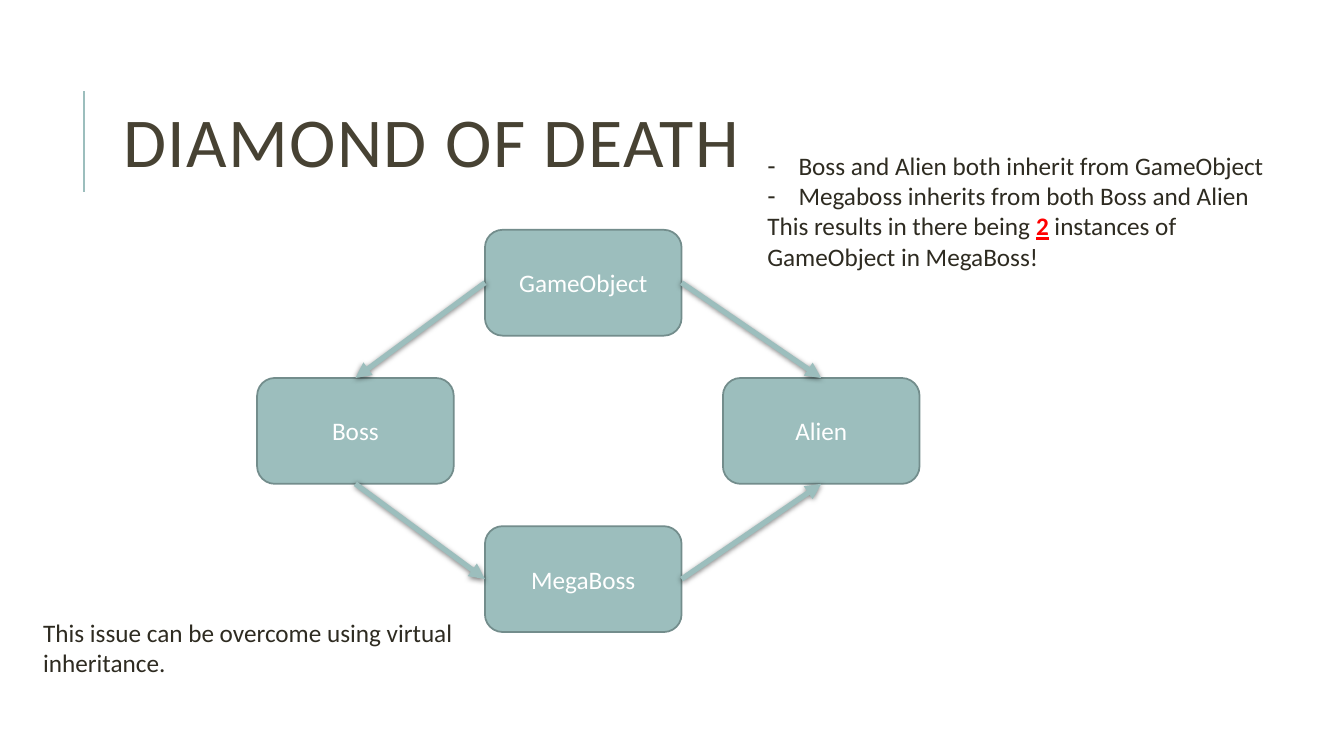
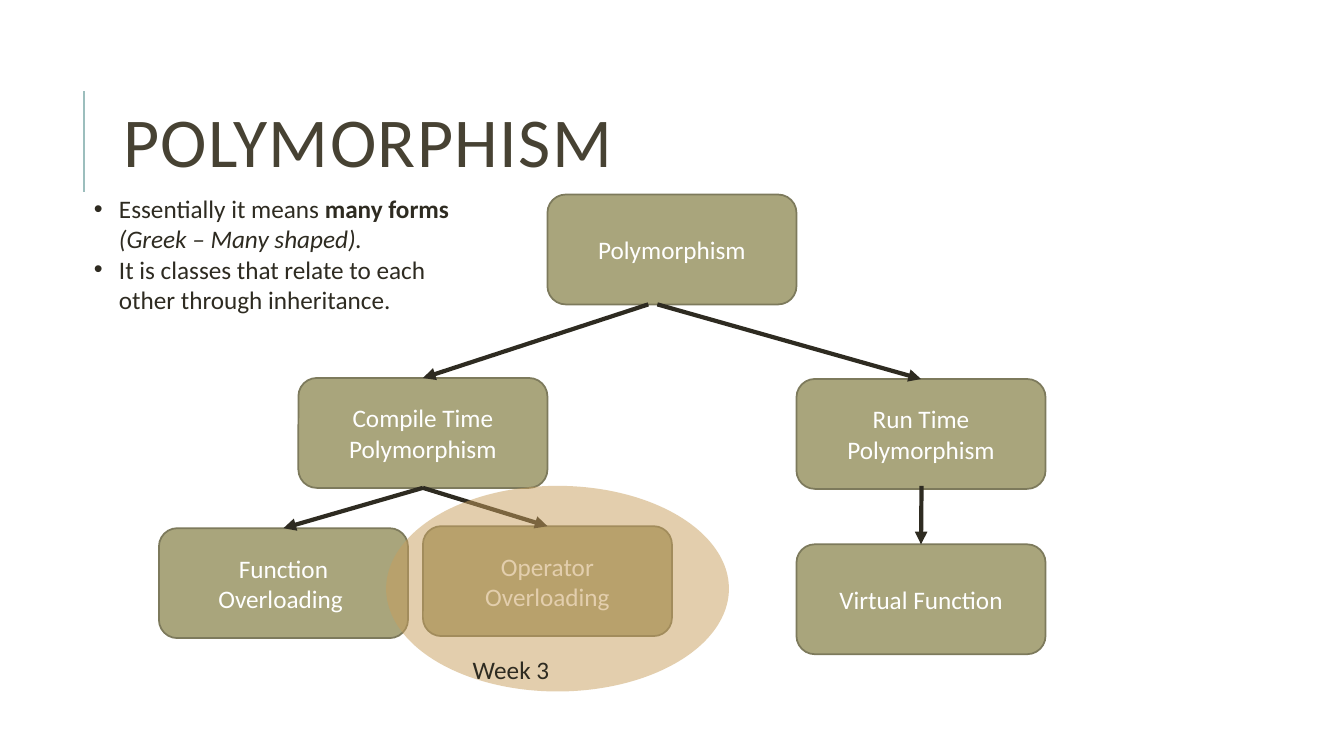
"""Build two slides on inheritance: the diamond problem and polymorphism."""
import lxml.etree
import pptx
import pptx.dml.color
import pptx.enum.shapes
import pptx.enum.text
import pptx.oxml.ns
import pptx.util

RGBColor = pptx.dml.color.RGBColor
Inches = pptx.util.Inches
Pt = pptx.util.Pt
SubElement = lxml.etree.SubElement
qn = pptx.oxml.ns.qn
SHAPE = pptx.enum.shapes.MSO_SHAPE
STRAIGHT = pptx.enum.shapes.MSO_CONNECTOR.STRAIGHT

TEAL = RGBColor(0x9C, 0xBE, 0xBD)
TEAL_EDGE = RGBColor(0x73, 0x8D, 0x8C)
OLIVE = RGBColor(0xA9, 0xA5, 0x7C)
OLIVE_EDGE = RGBColor(0x7D, 0x7A, 0x5C)
BROWN = RGBColor(0x47, 0x42, 0x33)
INK = RGBColor(0x2E, 0x2B, 0x21)
SAND = RGBColor(0xC8, 0x9F, 0x5D)
RED = RGBColor(0xFF, 0x00, 0x00)
WHITE = RGBColor(0xFF, 0xFF, 0xFF)
FONT = "Calibri"
TOP, LEFT, BOTTOM, RIGHT = range(4)


def add_box(s, text, x, y, w, h, fill, edge):
    """Add a rounded box with centred white text."""
    sp = s.shapes.add_shape(SHAPE.ROUNDED_RECTANGLE, Inches(x), Inches(y), Inches(w), Inches(h))
    sp.shadow.inherit = False
    sp.fill.solid()
    sp.fill.fore_color.rgb = fill
    sp.line.color.rgb = edge
    sp.line.width = Pt(1.25)
    sp.text_frame.text = text
    p = sp.text_frame.paragraphs[0]
    p.alignment = pptx.enum.text.PP_ALIGN.CENTER
    f = p.runs[0].font
    f.name, f.size, f.color.rgb = FONT, Pt(18), WHITE
    return sp


def add_line(s, color, width, start=(0, 0), end=(0, 0), begin_at=None, end_at=None, arrow=True):
    """Add a straight line between points or box sides; return it with its effect list."""
    cx = s.shapes.add_connector(STRAIGHT, *[Inches(v) for v in (*start, *end)])
    if begin_at:
        cx.begin_connect(*begin_at)
    if end_at:
        cx.end_connect(*end_at)
    cx.line.color.rgb = color
    cx.line.width = Pt(width)
    if arrow:
        SubElement(cx.line._get_or_add_ln(), qn("a:tailEnd"), type="triangle")
    return cx, SubElement(cx._element.spPr, qn("a:effectLst"))


prs = pptx.Presentation()
prs.slide_width, prs.slide_height = Inches(13.33), Inches(7.5)
layout = prs.slide_layouts[1]
title = layout.placeholders[0]
title.left, title.top, title.width, title.height = [Inches(v) for v in (1.12, 0.64, 10.63, 1.64)]

PLAIN, BOLD, ITALIC, ALERT = "plain", "bold", "italic", "alert"
pages = [
    ("DIAMOND OF DEATH", (7.51, 1.44, 5.52, 1.31), 0.31, [
        ("-", [("Boss and Alien both inherit from GameObject", PLAIN)]),
        ("-", [("Megaboss inherits from both Boss and Alien", PLAIN)]),
        (None, [("This results in there being ", PLAIN), ("2", ALERT),
                (" instances of GameObject in MegaBoss!", PLAIN)]),
    ]),
    ("POLYMORPHISM", (0.83, 1.87, 3.76, 1.62), 0.25, [
        ("•", [("Essentially it means ", PLAIN), ("many forms ", BOLD),
               ("(Greek – Many shaped).", ITALIC)]),
        ("•", [("It is classes that relate to each other through inheritance.", PLAIN)]),
    ]),
]
slides = []
for heading, area, indent, items in pages:
    s = prs.slides.add_slide(layout)
    slides.append(s)
    s.shapes.title.text_frame.text = heading
    p = s.shapes.title.text_frame.paragraphs[0]
    p.alignment = pptx.enum.text.PP_ALIGN.LEFT
    p.line_spacing = 0.8
    r = p.runs[0]
    r.font.name, r.font.size, r.font.color.rgb = FONT, Pt(50), BROWN
    r._r.get_or_add_rPr().set("spc", "100")

    body = s.placeholders[1]
    body.left, body.top, body.width, body.height = [Inches(v) for v in area]
    tf = body.text_frame
    tf.auto_size = pptx.enum.text.MSO_AUTO_SIZE.NONE
    for i, (bullet, runs) in enumerate(items):
        p = tf.add_paragraph() if i else tf.paragraphs[0]
        p.space_before = Pt(0)
        pPr = p._p.get_or_add_pPr()
        pPr.set("marL", str(Inches(indent) if bullet else 0))
        pPr.set("indent", str(-Inches(indent) if bullet else 0))
        if bullet:
            SubElement(pPr, qn("a:buChar"), char=bullet)
        else:
            SubElement(pPr, qn("a:buNone"))
        for text, style in runs:
            r = p.add_run()
            r.text = text
            f = r.font
            f.name, f.size = FONT, Pt(18)
            f.color.rgb = RED if style == ALERT else INK
            f.bold = style in (BOLD, ALERT)
            f.italic = style == ITALIC
            f.underline = style == ALERT

diamond, tree = slides
rule, _ = add_line(diamond, TEAL, 1.5, (0.83, 1.9), (0.83, 0.9), arrow=False)
layout.shapes._spTree.append(rule._element)

cols = (2.55, 4.81, 7.17)
rows = [2.28 + 1.47 * n for n in range(3)]
boxes = {
    name: add_box(diamond, name, cols[c], rows[n], 1.95, 1.05, TEAL, TEAL_EDGE)
    for name, c, n in [("GameObject", 1, 0), ("Boss", 0, 1), ("Alien", 2, 1), ("MegaBoss", 1, 2)]
}
for a, a_side, b, b_side in [
    ("GameObject", LEFT, "Boss", TOP),
    ("Boss", BOTTOM, "MegaBoss", LEFT),
    ("GameObject", RIGHT, "Alien", TOP),
    ("MegaBoss", RIGHT, "Alien", BOTTOM),
]:
    cx, effects = add_line(diamond, TEAL, 3.75, begin_at=(boxes[a], a_side), end_at=(boxes[b], b_side))
    shadow = SubElement(effects, qn("a:outerShdw"), blurRad=str(Pt(4)), dist=str(Pt(1)),
                        dir="5400000", rotWithShape="0")
    SubElement(SubElement(shadow, qn("a:srgbClr"), val="000000"), qn("a:alpha"), val="50000")

col = 2.47
root, compile_time, function, operator, run_time, virtual = [
    add_box(tree, text, 2.96 + col * c, y, col, 1.09, OLIVE, OLIVE_EDGE)
    for text, c, y in [
        ("Polymorphism", 1, 1.93),
        ("Compile Time Polymorphism", 0, 3.75),
        ("Function Overloading ", -0.56, 5.24),
        ("Operator Overloading", 0.5, 5.22),
        ("Run Time Polymorphism", 2, 3.76),
        ("Virtual Function", 2, 5.4),
    ]
]
for start, target in [((6.43, 3.02), compile_time), ((6.52, 3.02), run_time), ((9.14, 4.82), virtual)]:
    add_line(tree, INK, 3, start, end_at=(target, TOP))
for target in (function, operator):
    add_line(tree, INK, 3, begin_at=(compile_time, BOTTOM), end_at=(target, TOP))

sp = tree.shapes.add_shape(SHAPE.OVAL, Inches(3.83), Inches(4.82), Inches(3.4), Inches(2.04))
sp.shadow.inherit = False
sp.fill.solid()
sp.fill.fore_color.rgb = SAND
SubElement(sp._element.spPr.find(".//" + qn("a:srgbClr")), qn("a:alpha"), val="50000")
sp.line.fill.background()

for s, text, area in [
    (diamond, "This issue can be overcome using virtual inheritance.", (0.33, 6.07, 4.95, 0.71)),
    (tree, "Week 3", (4.59, 6.44, 1.68, 0.4)),
]:
    tf = s.shapes.add_textbox(*[Inches(v) for v in area]).text_frame
    tf.word_wrap = True
    tf.text = text
    f = tf.paragraphs[0].runs[0].font
    f.name, f.size, f.color.rgb = FONT, Pt(18), INK

prs.save("out.pptx")
